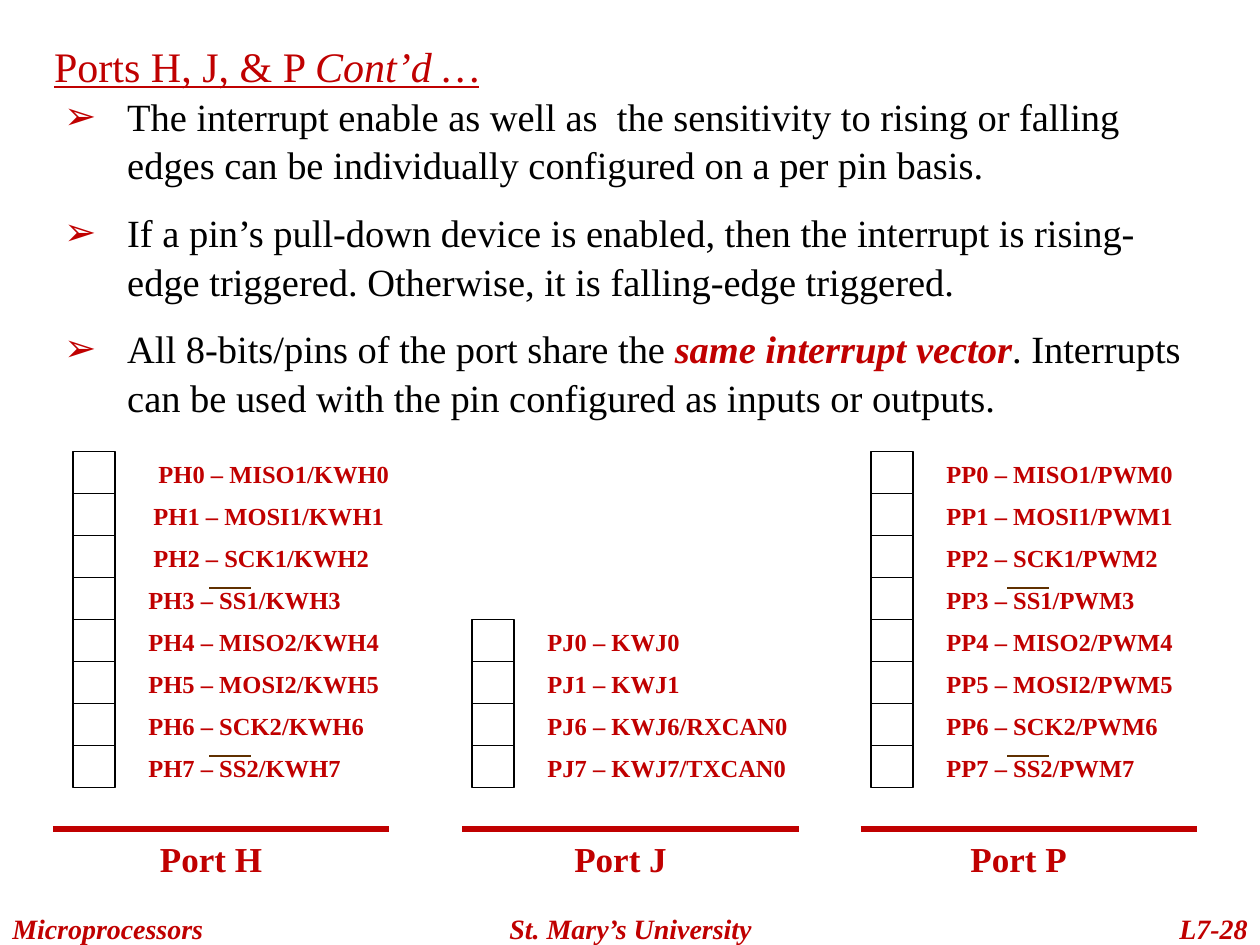
from lxml import etree
from pptx import Presentation
from pptx.dml.color import RGBColor
from pptx.enum.shapes import MSO_CONNECTOR, MSO_SHAPE
from pptx.enum.text import MSO_ANCHOR, MSO_AUTO_SIZE, PP_ALIGN
from pptx.oxml.ns import qn
from pptx.util import Inches, Pt

LEFT, CENTER, RIGHT = PP_ALIGN.LEFT, PP_ALIGN.CENTER, PP_ALIGN.RIGHT
FONT = "Times New Roman"
COLORS = {"red": "C00000", "black": "000000", "brown": "603000"}

# Content: a span is (text, emphasised)
TITLE = [("Ports H, J, & P ", False), ("Cont’d …", True)]
BULLETS = [
    [("The interrupt enable as well as  the sensitivity to rising or falling "
      "edges can be individually configured on a per pin basis.", False)],
    [("If a pin’s pull-down device is enabled, then the interrupt is "
      "rising-edge triggered. Otherwise, it is falling-edge triggered.", False)],
    [("All 8-bits/pins of the port share the ", False),
     ("same interrupt vector", True),
     (". Interrupts can be used with the pin configured as inputs or outputs.",
      False)],
]
PORTS = [
    {"name": "Port H", "rule_left": 0.42, "nudges": [0.08, 0.04, 0.04],
     "pins": ["PH0 – MISO1/KWH0", "PH1 – MOSI1/KWH1", "PH2 – SCK1/KWH2",
              "PH3 – SS1/KWH3", "PH4 – MISO2/KWH4", "PH5 – MOSI2/KWH5",
              "PH6 – SCK2/KWH6", "PH7 – SS2/KWH7"]},
    {"name": "Port J", "rule_left": 3.67, "nudges": [],
     "pins": ["PJ0 – KWJ0", "PJ1 – KWJ1", "PJ6 – KWJ6/RXCAN0",
              "PJ7 – KWJ7/TXCAN0"]},
    {"name": "Port P", "rule_left": 6.83, "nudges": [],
     "pins": ["PP0 – MISO1/PWM0", "PP1 – MOSI1/PWM1", "PP2 – SCK1/PWM2",
              "PP3 – SS1/PWM3", "PP4 – MISO2/PWM4", "PP5 – MOSI2/PWM5",
              "PP6 – SCK2/PWM6", "PP7 – SS2/PWM7"]},
]
FOOTER = [("Microprocessors", 0, 2, LEFT),
          ("St. Mary’s University", 3.42, 3.17, CENTER),
          ("L7-28", 8.42, 1.58, RIGHT)]

# Geometry in inches
CELL = 1 / 3
PINS_BOTTOM = 6.25
FIRST_PORT_LEFT, PORT_PITCH = 0.58, 19 / 6
RULE_TOP, RULE_WIDTH = 6.58, 2.67

deck = Presentation()
deck.slide_width, deck.slide_height = Inches(10), Inches(7.5)
page = deck.slides.add_slide(deck.slide_layouts[1])


def color(name):
    return RGBColor.from_string(COLORS[name])


def place(box, left, top, width, height):
    box.left, box.top = Inches(left), Inches(top)
    box.width, box.height = Inches(width), Inches(height)
    frame = box.text_frame
    frame.word_wrap = True
    frame.auto_size = MSO_AUTO_SIZE.NONE
    frame.vertical_anchor = MSO_ANCHOR.TOP
    return frame


def style(para, size, color_name, align=LEFT):
    para.alignment = align
    para.line_spacing = 1.05
    para.space_before = Pt(0)
    para.font.name, para.font.size = FONT, Pt(size)
    para.font.color.rgb = color(color_name)


def add_label(text, left, top, width, height, size, align=LEFT, italic=False):
    box = page.shapes.add_textbox(0, 0, 0, 0)
    para = place(box, left, top, width, height).paragraphs[0]
    para.text = text
    style(para, size, "red", align)
    para.font.bold, para.font.italic = True, italic


def add_rule(left, top, width, color_name, weight):
    rule = page.shapes.add_connector(MSO_CONNECTOR.STRAIGHT, Inches(left),
                                     Inches(top), Inches(left + width), Inches(top))
    rule.line.color.rgb = color(color_name)
    rule.line.width = Pt(weight)
    etree.SubElement(rule._element.spPr, qn("a:effectLst"))


def add_bullet(para):
    props = para._p.get_or_add_pPr()
    props.set("marL", str(Inches(0.5)))
    props.set("indent", str(Inches(-0.5)))
    bullet_color = etree.SubElement(props, qn("a:buClr"))
    etree.SubElement(bullet_color, qn("a:srgbClr"), val=COLORS["red"])
    etree.SubElement(props, qn("a:buChar"), char="➢")


# Title
para = place(page.shapes.title, 0.33, 0.25, 9.08, 0.5).paragraphs[0]
style(para, 24, "red")
para.font.underline = True
for text, emphasised in TITLE:
    span = para.add_run()
    span.text = text
    if emphasised:
        span.font.italic = True

# Bullet list
frame = place(page.placeholders[1], 0.41, 0.67, 9.08, 2.67)
for index, spans in enumerate(BULLETS):
    para = frame.paragraphs[0] if index == 0 else frame.add_paragraph()
    add_bullet(para)
    style(para, 22, "black")
    if index:
        para.space_before = Pt(11)
    for text, emphasised in spans:
        span = para.add_run()
        span.text = text
        if emphasised:
            span.font.bold = span.font.italic = True
            span.font.color.rgb = color("red")

# Ports: pin cells, pin labels, bars over the active-low SS signals, captions
for index, port in enumerate(PORTS):
    left = FIRST_PORT_LEFT + index * PORT_PITCH
    first_top = PINS_BOTTOM - len(port["pins"]) * CELL
    for row, pin in enumerate(port["pins"]):
        top = first_top + row * CELL
        cell = page.shapes.add_shape(MSO_SHAPE.RECTANGLE, Inches(left),
                                     Inches(top), Inches(CELL), Inches(CELL))
        cell.shadow.inherit = False
        cell.fill.background()
        cell.line.color.rgb = color("black")
        cell.line.width = Pt(0.75)
        nudge = port["nudges"][row] if row < len(port["nudges"]) else 0
        add_label(pin, left + 0.5 + nudge, top, 2.33, CELL, 14)
        if "SS" in pin:
            add_rule(left + 1.08, top + CELL / 4, CELL, "brown", 1.5)
    add_rule(port["rule_left"], RULE_TOP, RULE_WIDTH, "red", 3)
    add_label(port["name"], port["rule_left"] + 0.42, RULE_TOP, 1.67, 0.43, 20,
              CENTER)

# Footer
for text, left, width, align in FOOTER:
    add_label(text, left, 7.17, width, 0.33, 16, align, italic=True)

deck.save("out.pptx")
